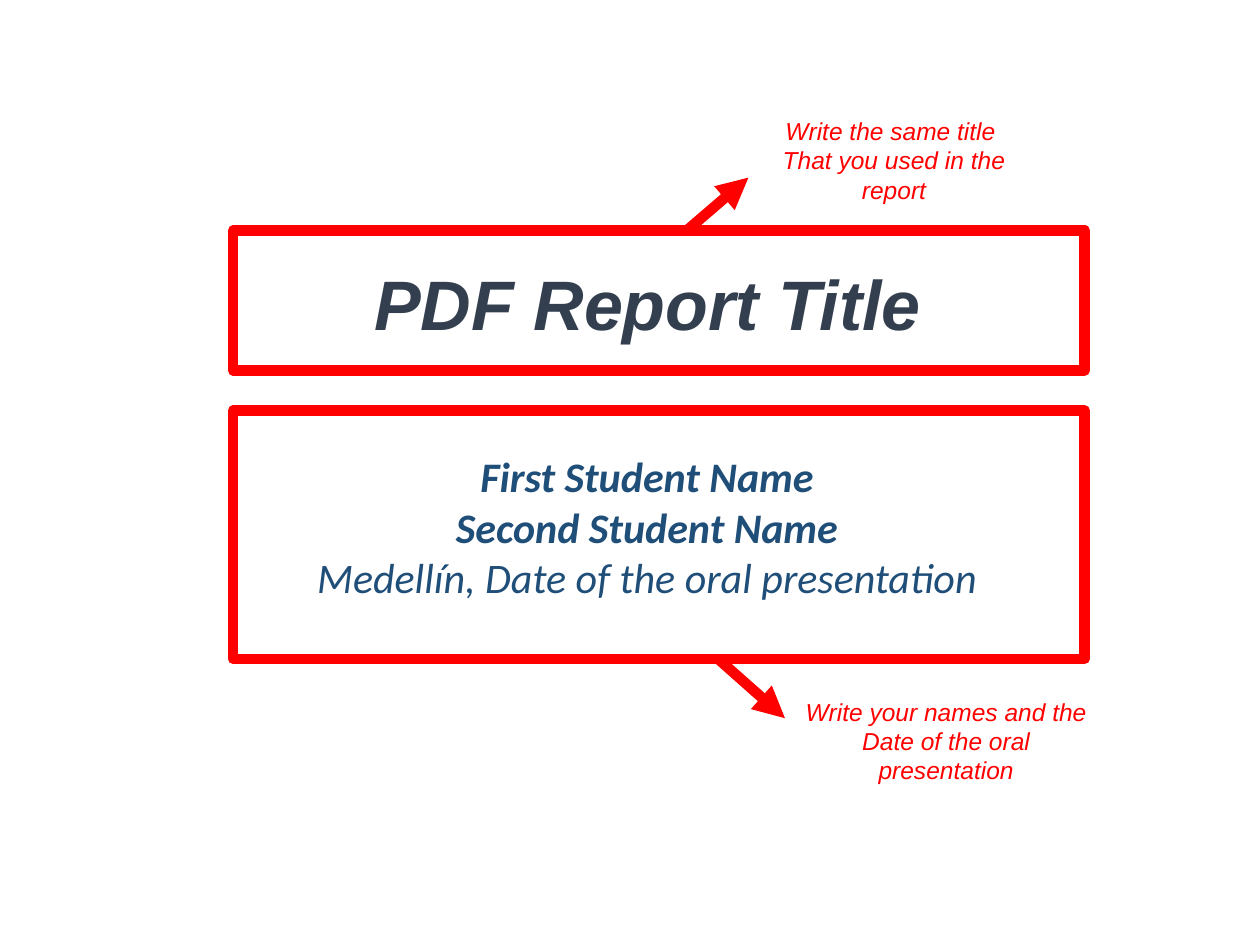
from dataclasses import dataclass

from lxml.etree import SubElement
from pptx import Presentation
from pptx.dml.color import RGBColor
from pptx.enum.shapes import MSO_CONNECTOR as Connector, MSO_SHAPE as Shape
from pptx.enum.text import MSO_ANCHOR as Anchor, PP_ALIGN as Align
from pptx.oxml.ns import qn
from pptx.util import Inches, Pt


@dataclass(frozen=True)
class Theme:
    title_color = RGBColor.from_string("333F4F")
    author_color = RGBColor.from_string("1F4E79")
    accent = RGBColor.from_string("FF0000")
    heading_font = "Arial"
    author_font = "Calibri"
    title_size = Pt(40)
    author_size = Pt(24)
    note_size = Pt(14)
    line_width = Pt(6)


class SlideBuilder:
    def __init__(self, slide, theme):
        self.slide = slide
        self.theme = theme

    def text(self, box, lines, font_name, size, color, bold_lines=0, anchor=Anchor.TOP):
        """Add centred italic lines, the first bold_lines of them in bold."""
        frame = self.slide.shapes.add_textbox(*map(Inches, box)).text_frame
        frame.word_wrap = True
        frame.vertical_anchor = anchor
        frame.text = "\n".join(lines)
        for index, paragraph in enumerate(frame.paragraphs):
            paragraph.alignment = Align.CENTER
            font = paragraph.font
            font.name, font.size = font_name, size
            font.color.rgb = color
            font.italic = True
            font.bold = index < bold_lines

    def note(self, box, lines):
        theme = self.theme
        self.text(box, lines, theme.heading_font, theme.note_size, theme.accent)

    def style_line(self, line):
        line.color.rgb = self.theme.accent
        line.width = self.theme.line_width

    def frame(self, box):
        shape = self.slide.shapes.add_shape(Shape.RECTANGLE, *map(Inches, box))
        shape.shadow.inherit = False
        shape.fill.background()
        self.style_line(shape.line)

    def arrow(self, start, end):
        connector = self.slide.shapes.add_connector(
            Connector.STRAIGHT, *map(Inches, start + end))
        self.style_line(connector.line)
        properties = connector._element.spPr
        SubElement(properties.find(qn("a:ln")), qn("a:tailEnd"), type="triangle")
        SubElement(properties, qn("a:effectLst"))


def main():
    presentation = Presentation()
    presentation.slide_width, presentation.slide_height = Inches(10), Inches(7.5)
    slide = presentation.slides.add_slide(presentation.slide_layouts[6])
    theme = Theme()
    builder = SlideBuilder(slide, theme)

    builder.text((0.89, 1.46, 8.5, 1.32), ["PDF Report Title"],
                 theme.heading_font, theme.title_size, theme.title_color,
                 bold_lines=1, anchor=Anchor.BOTTOM)
    builder.text((0.51, 3.53, 9.25, 1.75),
                 ["First Student Name", "Second Student Name",
                  "Medellín, Date of the oral presentation"],
                 theme.author_font, theme.author_size, theme.author_color,
                 bold_lines=2)

    frame_left, frame_width = 1.85, 6.76
    title_top, author_top, author_height = 1.83, 3.26, 1.97
    author_bottom = author_top + author_height

    builder.frame((frame_left, title_top, frame_width, 1.11))
    builder.note((5.94, 0.87, 2.31, 0.8),
                 ["Write the same title ", "That you used in the report"])
    builder.arrow((5.45, title_top), (5.94, 1.41))

    builder.frame((frame_left, author_top, frame_width, author_height))
    builder.arrow((5.7, author_bottom), (6.23, 5.7))
    builder.note((6.23, 5.48, 2.56, 0.8),
                 ["Write your names and the", "Date of the oral presentation"])

    presentation.save("out.pptx")


if __name__ == "__main__":
    main()
